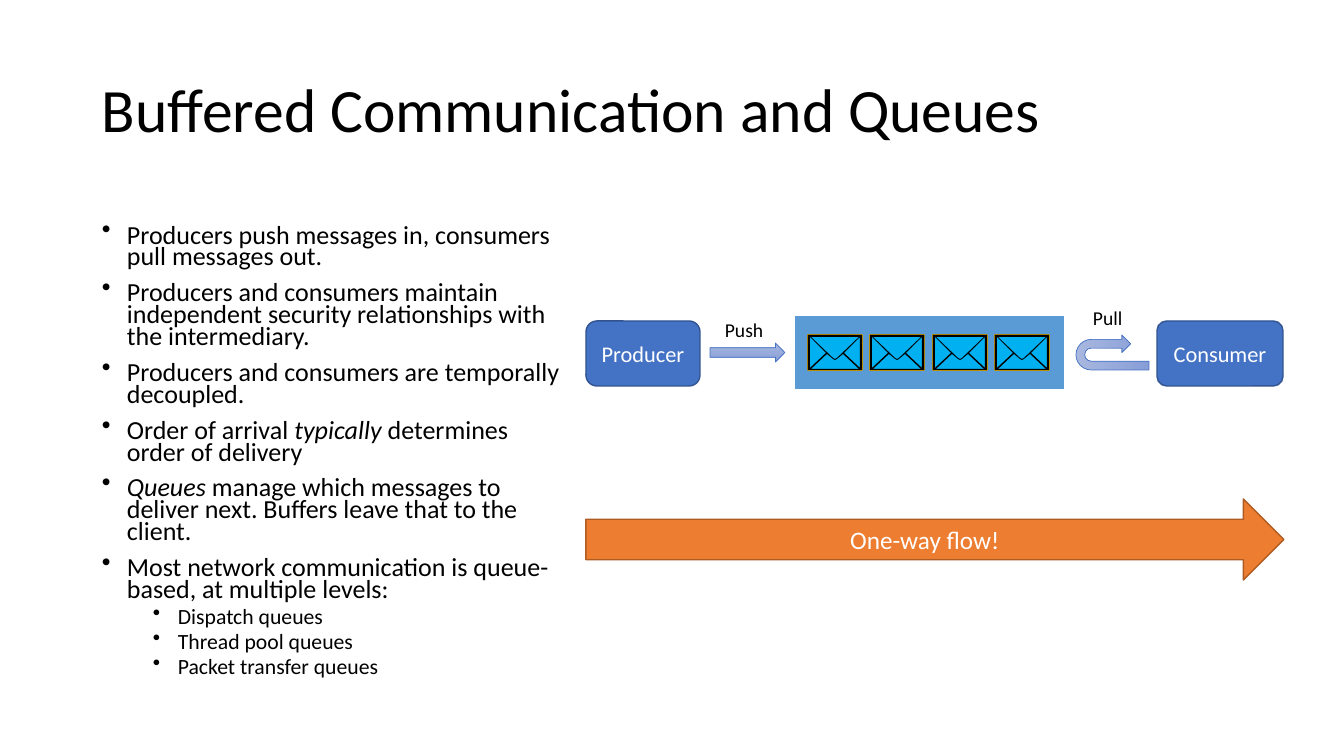
import pptx
import pptx.util
import pptx.dml.color
import pptx.enum.shapes
import pptx.enum.text
import lxml.etree
from dataclasses import dataclass

TITLE = "Buffered Communication and Queues"
POINTS = [
    (0, "Producers push messages in, consumers pull messages out."),
    (0, "Producers and consumers maintain independent security relationships with the intermediary."),
    (0, "Producers and consumers are temporally decoupled."),
    (0, "Order of arrival *typically* determines order of delivery"),
    (0, "*Queues* manage which messages to deliver next. Buffers leave that to the client."),
    (0, "Most network communication is queue-based, at multiple levels:"),
    (1, "Dispatch queues"),
    (1, "Thread pool queues"),
    (1, "Packet transfer queues"),
]
ENDS = [
    ("Producer", (586, 321, 114, 65), 0.167),
    ("Consumer", (1157, 321, 126, 65), 0.146),
]
MOVES = [
    ("Push", (715, 313, 60, 34), "RIGHT_ARROW", (710, 343, 75, 19), 0),
    ("Pull", (1083, 301, 51, 34), "U_TURN_ARROW", (1095, 316, 35, 73), 270),
]
FLOW = ("One-way flow!", (586, 499, 698, 81))
QUEUE = (794, 315, 271, 75)
MAIL = {"count": 4, "first": 808, "last": 995, "top": 335, "wide": 54, "high": 35}
FOLDS = [
    [(0, 0), (0, 35), (54, 35), (54, 0)],
    [(29, 23), (27, 24), (25, 23), (3, 2), (51, 2)],
    [(18, 18), (2, 33), (2, 2)],
    [(19, 19), (25, 24), (27, 25), (29, 24), (35, 19), (51, 34), (3, 34)],
    [(36, 18), (52, 2), (52, 33)],
]


@dataclass(frozen=True)
class Theme:
    font: str = "Calibri"
    ink: str = "000000"
    pale: str = "FFFFFF"
    node: str = "4472C4"
    rim: str = "325491"
    queue: str = "5B9BD5"
    mail: str = "00B0F0"
    gold: str = "BD8E00"
    flow: str = "ED7D31"
    rust: str = "AF5C24"
    fade: tuple = ("A8B7DF", "889ED7")
    title: float = 44
    body: tuple = (18.6, 15.5)
    gap: tuple = (10, 5)
    indent: tuple = (25, 76)
    end: float = 16
    move: float = 14
    stream: float = 18


LOOK = Theme()
SCALE = 914400 / 100.8
KIND = pptx.enum.shapes.MSO_SHAPE
ANCHOR = pptx.enum.text.MSO_ANCHOR
ALIGN = pptx.enum.text.PP_ALIGN


def px(num):
    return round(num * SCALE)


def rgb(code):
    return pptx.dml.color.RGBColor.from_string(code)


def style(font, size, color):
    font.name = LOOK.font
    font.size = pptx.util.Pt(size)
    font.color.rgb = rgb(color)


def paint(shape, fill, line=None, width=1):
    shape.shadow.inherit = False
    shape.fill.solid()
    shape.fill.fore_color.rgb = rgb(fill)
    if line:
        shape.line.color.rgb = rgb(line)
        shape.line.width = pptx.util.Pt(width)
    else:
        shape.line.fill.background()


def add(shapes, kind, box):
    return shapes.add_shape(kind, *map(px, box))


def label(shape, text, size):
    frame = shape.text_frame
    frame.text = text
    frame.vertical_anchor = ANCHOR.MIDDLE
    para = frame.paragraphs[0]
    para.alignment = ALIGN.CENTER
    style(para.font, size, LOOK.pale)


def words(shapes, box, wrap=True):
    frame = shapes.add_textbox(*map(px, box)).text_frame
    frame.word_wrap = wrap
    return frame


def bullet(para, level):
    props = para._p.get_or_add_pPr()
    props.set("marL", str(px(LOOK.indent[level])))
    props.set("indent", str(-px(LOOK.indent[0])))
    tag = pptx.oxml.ns.qn("a:buChar")
    lxml.etree.SubElement(props, tag).set("char", "•")


def draw_text(shapes):
    frame = words(shapes, (92, 40, 1159, 146))
    frame.text = TITLE
    frame.vertical_anchor = ANCHOR.MIDDLE
    frame.paragraphs[0].line_spacing = 0.9
    style(frame.paragraphs[0].font, LOOK.title, LOOK.ink)

    frame = words(shapes, (92, 175, 480, 519))
    frame.vertical_anchor = ANCHOR.MIDDLE
    frame.margin_top = px(41)
    for num, (level, text) in enumerate(POINTS):
        para = frame.add_paragraph() if num else frame.paragraphs[0]
        bullet(para, level)
        para.level = level
        para.line_spacing = 0.7
        if num:
            para.space_before = pptx.util.Pt(LOOK.gap[level])
        for turn, part in enumerate(text.split("*")):
            if part:
                run = para.add_run()
                run.text = part
                style(run.font, LOOK.body[level], LOOK.ink)
                run.font.italic = turn % 2 == 1


def draw_mail(shapes, left):
    group = shapes.add_group_shape().shapes
    top = MAIL["top"]
    card = add(group, KIND.RECTANGLE, (left, top, MAIL["wide"], MAIL["high"]))
    paint(card, LOOK.mail, LOOK.gold)
    pen = group.build_freeform(*FOLDS[0][0], scale=SCALE)
    for num, fold in enumerate(FOLDS):
        if num:
            pen.move_to(*fold[0])
        pen.add_line_segments(fold[1:], close=True)
    paint(pen.convert_to_shape(px(left), px(top)), LOOK.ink)


def draw_queue(shapes):
    paint(add(shapes, KIND.RECTANGLE, QUEUE), LOOK.queue, LOOK.pale, 1.5)
    step = (MAIL["last"] - MAIL["first"]) / (MAIL["count"] - 1)
    for num in range(MAIL["count"]):
        draw_mail(shapes, round(MAIL["first"] + num * step))


def draw_ends(shapes):
    for text, box, curve in ENDS:
        node = add(shapes, KIND.ROUNDED_RECTANGLE, box)
        node.adjustments[0] = curve
        paint(node, LOOK.node, LOOK.rim)
        label(node, text, LOOK.end)


def draw_moves(shapes):
    for text, spot, kind, box, turn in MOVES:
        arrow = add(shapes, KIND[kind], box)
        paint(arrow, LOOK.node, LOOK.node, 0.5)
        arrow.rotation = turn
        arrow.fill.gradient()
        arrow.fill.gradient_angle = 270
        for stop, color in zip(arrow.fill.gradient_stops, LOOK.fade):
            stop.color.rgb = rgb(color)
        frame = words(shapes, spot, False)
        frame.text = text
        style(frame.paragraphs[0].font, LOOK.move, LOOK.ink)


def main():
    deck = pptx.Presentation()
    deck.slide_width, deck.slide_height = px(1344), px(756)
    shapes = deck.slides.add_slide(deck.slide_layouts[6]).shapes
    draw_text(shapes)
    draw_queue(shapes)
    draw_ends(shapes)
    draw_moves(shapes)
    text, box = FLOW
    flow = add(shapes, KIND.RIGHT_ARROW, box)
    paint(flow, LOOK.flow, LOOK.rust)
    label(flow, text, LOOK.stream)
    deck.save("out.pptx")


if __name__ == "__main__":
    main()
